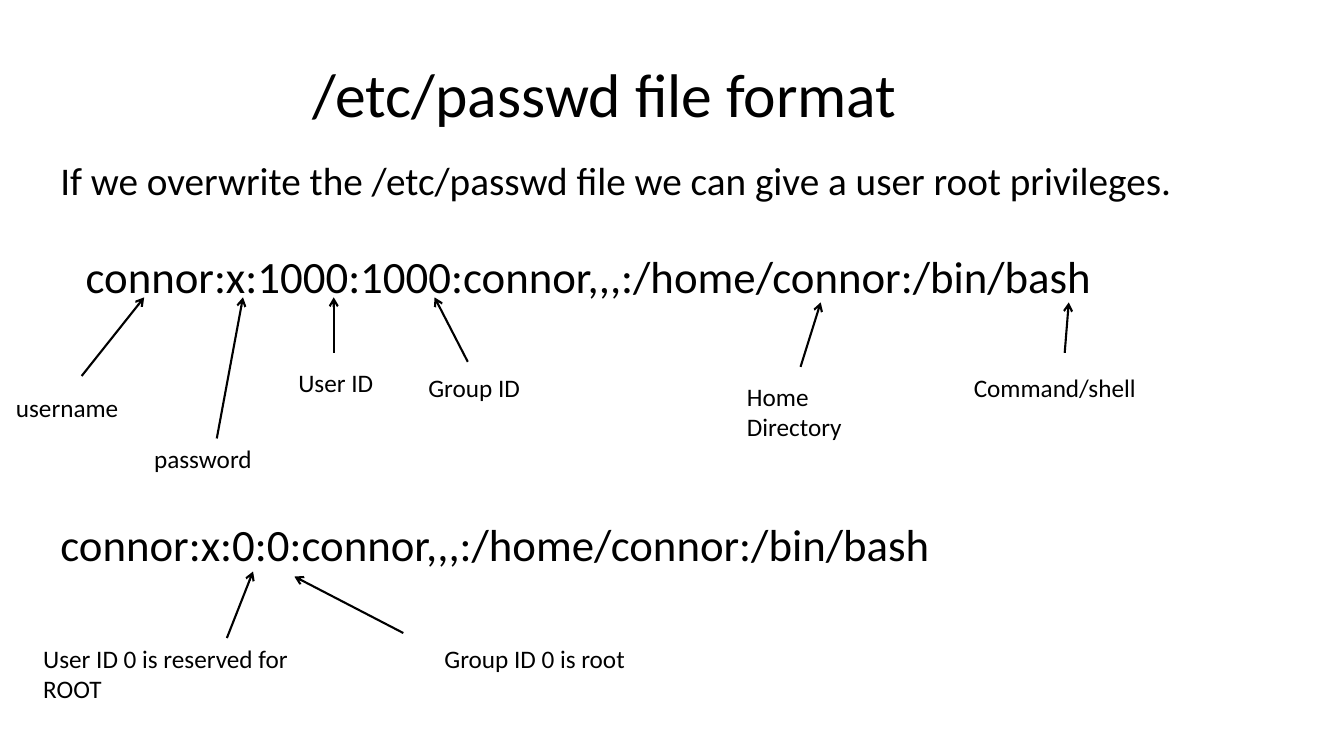
from dataclasses import dataclass

import lxml.etree
import pptx
import pptx.dml.color
import pptx.enum.shapes
import pptx.enum.text
import pptx.oxml.ns
import pptx.util

Inches = pptx.util.Inches
COLOURS = {"ink": "000000", "paper": "FFFFFF"}
FONT = "Calibri"


@dataclass
class Caption:
    text: str
    left: float
    top: float
    width: float
    height: float = 0.4
    size: int = 18


@dataclass
class Arrow:
    start: tuple[float, float]
    end: tuple[float, float]


TITLE = Caption("/etc/passwd file format", 0, 0.3, 12, 1.25, 44)

STATEMENTS = [
    Caption("If we overwrite the /etc/passwd file we can give a user root privileges.",
            0.5, 1.5, 11.67, 0.57, 28),
    Caption("connor:x:1000:1000:connor,,,:/home/connor:/bin/bash", 0.75, 2.42, 11.58, 0.64, 32),
    Caption("connor:x:0:0:connor,,,:/home/connor:/bin/bash", 0.5, 5.08, 11.58, 0.64, 32),
]

FIELD_LABELS = [
    Caption("username", 0.06, 3.84, 1.5),
    Caption("password", 1.43, 4.35, 1.43),
    Caption("User ID", 2.86, 3.59, 1.25),
    Caption("Group ID", 4.15, 3.64, 1.25),
    Caption("Home Directory", 7.31, 3.73, 1.25, 0.71),
    Caption("Command/shell", 9.56, 3.64, 2.33),
    Caption("User ID 0 is reserved for ROOT", 0.33, 6.33, 2.98, 0.71),
    Caption("Group ID 0 is root", 4.31, 6.33, 2.77),
]

ARROWS = [
    Arrow((0.81, 3.73), (1.43, 2.95)),
    Arrow((2.15, 4.35), (2.41, 2.95)),
    Arrow((3.31, 3.5), (3.31, 2.95)),
    Arrow((4.64, 3.59), (4.31, 2.95)),
    Arrow((7.94, 3.64), (8.14, 3)),
    Arrow((10.56, 3.5), (10.6, 3)),
    Arrow((2.25, 6.33), (2.51, 5.67)),
    Arrow((4, 6.28), (2.92, 5.72)),
]


def colour(name: str) -> pptx.dml.color.RGBColor:
    return pptx.dml.color.RGBColor.from_string(COLOURS[name])


def add_caption(page, caption: Caption, centred: bool = False) -> None:
    box = page.shapes.add_textbox(Inches(caption.left), Inches(caption.top),
                                  Inches(caption.width), Inches(caption.height))
    frame = box.text_frame
    frame.word_wrap = True
    para = frame.paragraphs[0]
    if centred:
        frame.vertical_anchor = pptx.enum.text.MSO_ANCHOR.MIDDLE
        para.alignment = pptx.enum.text.PP_ALIGN.CENTER
    else:
        frame.auto_size = pptx.enum.text.MSO_AUTO_SIZE.SHAPE_TO_FIT_TEXT
    span = para.add_run()
    span.text = caption.text
    span.font.name = FONT
    span.font.size = pptx.util.Pt(caption.size)
    span.font.color.rgb = colour("ink")


def add_arrow(page, arrow: Arrow) -> None:
    line = page.shapes.add_connector(pptx.enum.shapes.MSO_CONNECTOR.STRAIGHT,
                                     *map(Inches, arrow.start + arrow.end))
    line.line.color.rgb = colour("ink")
    line.line.width = pptx.util.Pt(1.5)
    # Open arrowhead at the end, no shadow
    qn = pptx.oxml.ns.qn
    lxml.etree.SubElement(line.line._get_or_add_ln(), qn("a:tailEnd"), type="arrow")
    lxml.etree.SubElement(line._element.spPr, qn("a:effectLst"))


def main() -> None:
    deck = pptx.Presentation()
    deck.slide_width, deck.slide_height = Inches(13.33), Inches(7.5)
    page = deck.slides.add_slide(deck.slide_layouts[6])
    page.background.fill.solid()
    page.background.fill.fore_color.rgb = colour("paper")

    # Heading, passwd lines and field names
    add_caption(page, TITLE, centred=True)
    for caption in STATEMENTS + FIELD_LABELS:
        add_caption(page, caption)

    # Arrows from field names to fields
    for arrow in ARROWS:
        add_arrow(page, arrow)

    deck.save("out.pptx")


if __name__ == "__main__":
    main()
